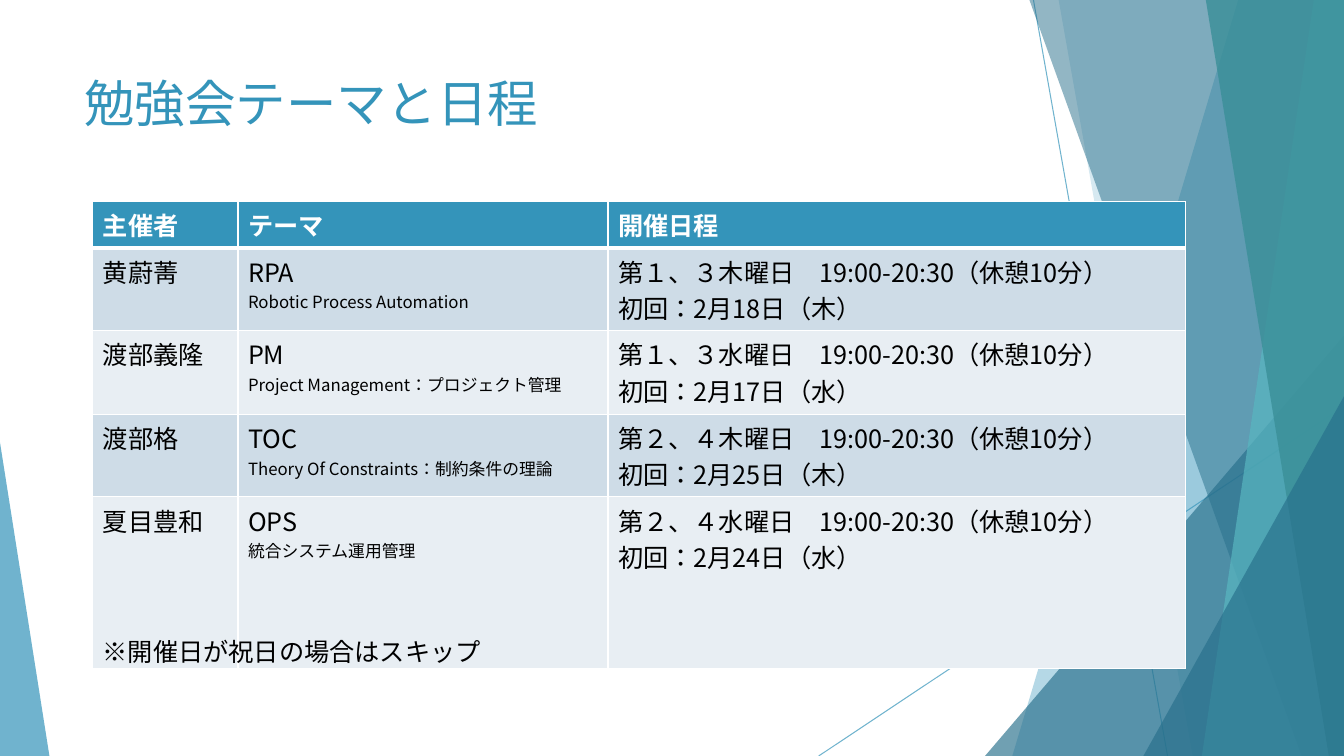
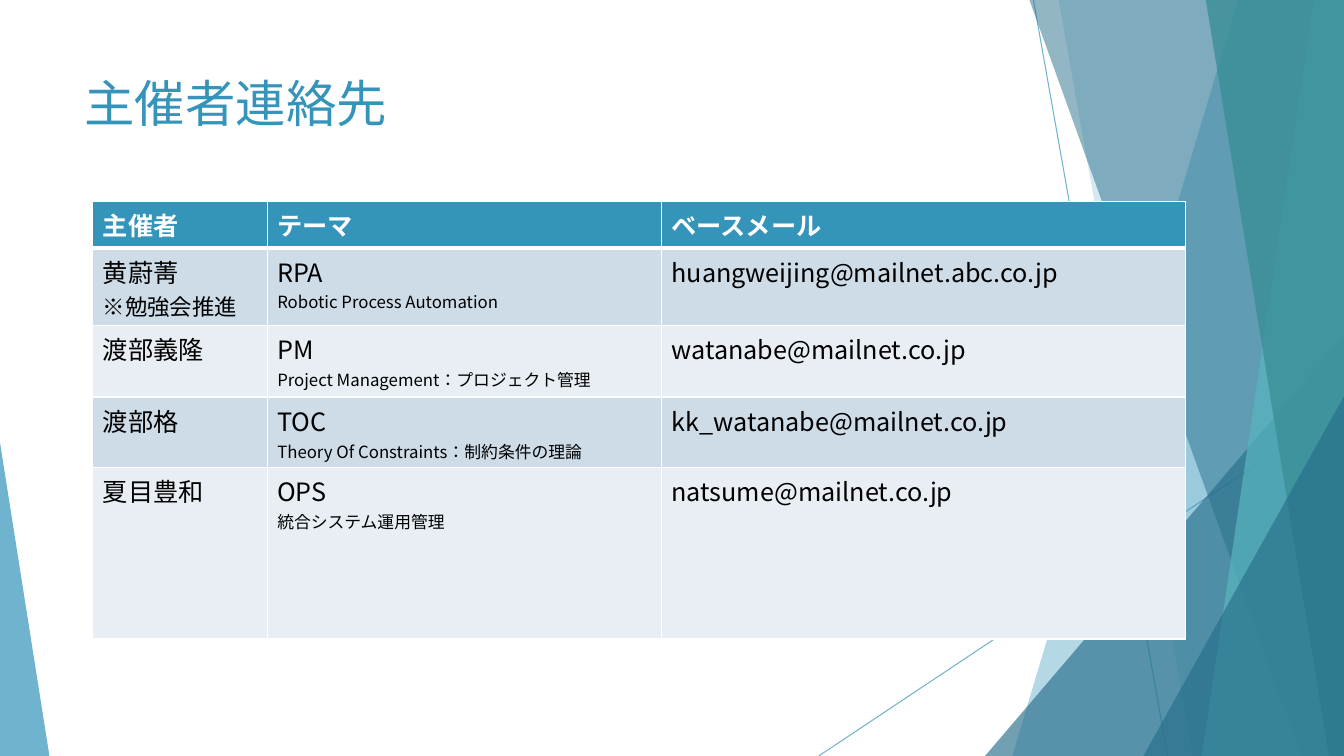
import dataclasses

import pptx
import pptx.dml.color
import pptx.enum.lang
import pptx.enum.shapes
import pptx.enum.text
import pptx.oxml
import pptx.oxml.ns
import pptx.util

Inches = pptx.util.Inches
Pt = pptx.util.Pt


@dataclasses.dataclass(frozen=True)
class Theme:
    """Colours, fonts and type sizes shared by the slides."""

    width: float = 13.33
    height: float = 7.5
    accent: str = "3494BA"
    deep: str = "276F8B"
    aqua: str = "58B6C0"
    teal: str = "3A8F98"
    white: str = "FFFFFF"
    ink: str = "000000"
    bands: tuple = ("CEDCE7", "E8EEF3")
    title_font: str = "Cabin"
    font: str = "Noto Sans CJK JP"
    title_size: int = 36
    body_size: int = 18
    remark_size: int = 16
    detail_size: int = 12


THEME = Theme()
TABLE_LEFT = 0.92
TABLE_TOP = 2
HEADING_HEIGHT = 0.46
LAST_HEIGHT = 1.7
SECOND_SIZES = (THEME.remark_size, THEME.detail_size, THEME.body_size)

RAYS = (((10.25, 0), (11.58, 7.5)), ((13.33, 4.03), (8.12, 7.5)))
FACETS = (
    ("shard", 12.28, 10.04, THEME.accent, 36),
    ("shard", 10.5, 11.83, THEME.accent, 20),
    ("corner", 9.77, 3.33, THEME.deep, 66),
    ("shard", 10.21, 12.91, THEME.deep, 50),
    ("shard", 13.03, 11.92, THEME.aqua, 70),
    ("shard", 11.96, 13.18, THEME.teal, 80),
    ("corner", 11.34, 3.93, THEME.deep, 66),
)

ORGANIZERS = ("黄蔚菁", "渡部義隆", "渡部格", "夏目豊和")
TOPICS = (
    ("RPA", "Robotic Process Automation"),
    ("PM", "Project Management：プロジェクト管理"),
    ("TOC", "Theory Of Constraints：制約条件の理論"),
    ("OPS", "統合システム運用管理"),
)
SESSIONS = (
    ("第１、３木曜日", "2月18日（木）"),
    ("第１、３水曜日", "2月17日（水）"),
    ("第２、４木曜日", "2月25日（木）"),
    ("第２、４水曜日", "2月24日（水）"),
)
ADDRESSES = (
    "huangweijing@mailnet.abc.co.jp",
    "watanabe@mailnet.co.jp",
    "kk_watanabe@mailnet.co.jp",
    "natsume@mailnet.co.jp",
)


def rgb(value):
    """Turn a hex string into a colour."""
    return pptx.dml.color.RGBColor.from_string(value)


def set_alpha(shape, percent):
    """Make the explicit colours of a shape translucent."""
    for colour in shape._element.xpath(".//a:srgbClr"):
        alpha = pptx.oxml.parse_xml(
            f'<a:alpha {pptx.oxml.ns.nsdecls("a")} val="{percent * 1000}"/>')
        colour.append(alpha)


def paint(shape, colour, percent):
    """Give a shape a translucent fill without outline or shadow."""
    shape.shadow.inherit = False
    shape.fill.solid()
    shape.fill.fore_color.rgb = rgb(colour)
    shape.line.fill.background()
    set_alpha(shape, percent)


def add_ray(page, start, end):
    """Draw a thin translucent line."""
    ray = page.shapes.add_connector(
        pptx.enum.shapes.MSO_CONNECTOR.STRAIGHT,
        *(Inches(value) for value in start + end))
    ray.line.color.rgb = rgb(THEME.accent)
    ray.line.width = Pt(0.75)
    ray._element.spPr.append(
        pptx.oxml.parse_xml(f'<a:effectLst {pptx.oxml.ns.nsdecls("a")}/>'))
    set_alpha(ray, 70)


def add_shard(page, top_x, bottom_x, colour, percent):
    """Draw a full-height facet that reaches the right edge."""
    builder = page.shapes.build_freeform(Inches(top_x), 0)
    outline = ((THEME.width, 0), (THEME.width, THEME.height),
               (bottom_x, THEME.height))
    builder.add_line_segments(
        [(Inches(x), Inches(y)) for x, y in outline], close=True)
    paint(builder.convert_to_shape(), colour, percent)


def add_corner(page, left, top, colour, percent, right=THEME.width, peak=1):
    """Draw a right triangle standing on the bottom edge."""
    corner = page.shapes.add_shape(
        pptx.enum.shapes.MSO_SHAPE.ISOSCELES_TRIANGLE, Inches(left),
        Inches(top), Inches(right - left), Inches(THEME.height - top))
    corner.adjustments[0] = peak
    paint(corner, colour, percent)


def add_backdrop(page):
    """Draw the faceted decoration of every slide."""
    for start, end in RAYS:
        add_ray(page, start, end)
    draw = {"shard": add_shard, "corner": add_corner}
    for kind, *details in FACETS:
        draw[kind](page, *details)
    add_corner(page, 0, 4.39, THEME.accent, 70, right=0.49, peak=0)


def style_para(para, size, colour, bold=False, font=THEME.font):
    """Format the runs of a paragraph as Japanese text."""
    for span in para.runs:
        span.font.size = Pt(size)
        span.font.bold = bold
        span.font.name = font
        span.font.language_id = pptx.enum.lang.MSO_LANGUAGE_ID.JAPANESE
        span.font.color.rgb = rgb(colour)
        span._r.get_or_add_rPr().find(
            pptx.oxml.ns.qn("a:latin")).addnext(pptx.oxml.parse_xml(
                f'<a:ea {pptx.oxml.ns.nsdecls("a")} typeface="{THEME.font}"/>'))


def add_text(page, text, area, size, colour, font=THEME.font, wrap=True):
    """Place a one-paragraph text box."""
    box = page.shapes.add_textbox(*(Inches(value) for value in area))
    frame = box.text_frame
    frame.word_wrap = wrap
    frame.vertical_anchor = pptx.enum.text.MSO_ANCHOR.TOP
    frame.text = text
    style_para(frame.paragraphs[0], size, colour, font=font)


def set_borders(cell, top, bottom):
    """Rule a cell in white with the given top and bottom widths."""
    properties = cell._tc.get_or_add_tcPr()
    for side, width in (("L", 1), ("R", 1), ("T", top), ("B", bottom)):
        properties.append(pptx.oxml.parse_xml(
            f'<a:ln{side} {pptx.oxml.ns.nsdecls("a")} w="{Pt(width)}">'
            f'<a:solidFill><a:srgbClr val="{THEME.white}"/></a:solidFill>'
            f'</a:ln{side}>'))


def fill_cell(cell, lines, row_index, second_size):
    """Write a cell and format it as heading or banded body."""
    heading = row_index == 0
    set_borders(cell, 3 if row_index == 1 else 1, 3 if heading else 1)
    cell.fill.solid()
    cell.fill.fore_color.rgb = rgb(
        THEME.accent if heading else THEME.bands[(row_index - 1) % 2])
    cell.text_frame.text = "\n".join(lines)
    for index, para in enumerate(cell.text_frame.paragraphs):
        style_para(para, second_size if index else THEME.body_size,
                   THEME.white if heading else THEME.ink, heading)


def add_grid(page, widths, body_heights, headings, rows):
    """Add a table whose cells hold one or two lines."""
    heights = (HEADING_HEIGHT, *body_heights, LAST_HEIGHT)
    grid = page.shapes.add_table(
        len(heights), len(widths), Inches(TABLE_LEFT), Inches(TABLE_TOP),
        Inches(sum(widths)), Inches(sum(heights))).table
    for column, width in zip(grid.columns, widths):
        column.width = Inches(width)
    for row, height in zip(grid.rows, heights):
        row.height = Inches(height)
    content = [[(heading,) for heading in headings], *rows]
    for row_index, row in enumerate(content):
        for column_index, lines in enumerate(row):
            fill_cell(grid.cell(row_index, column_index), lines, row_index,
                      SECOND_SIZES[column_index])


def add_page(deck, title):
    """Start a slide with the backdrop and its title."""
    page = deck.slides.add_slide(deck.slide_layouts[6])
    add_backdrop(page)
    add_text(page, title, (0.74, 0.67, 9.4, 1.44), THEME.title_size,
             THEME.accent, THEME.title_font)
    return page


def add_schedule(deck):
    """Build the slide of themes and dates."""
    page = add_page(deck, "勉強会テーマと日程")
    rows = [
        ((name,), topic, (f"{days}　19:00-20:30（休憩10分）", f"初回：{first}"))
        for name, topic, (days, first) in zip(ORGANIZERS, TOPICS, SESSIONS)]
    add_grid(page, (1.44, 3.67, 5.73), (0.82, 0.83, 0.82),
             ("主催者", "テーマ", "開催日程"), rows)
    add_text(page, "※開催日が祝日の場合はスキップ", (TABLE_LEFT, 6.26, 3.99, 0.4),
             THEME.body_size, THEME.ink, wrap=False)


def add_contacts(deck):
    """Build the slide of organizer addresses."""
    page = add_page(deck, "主催者連絡先")
    remarks = {ORGANIZERS[0]: ("※勉強会推進",)}
    rows = [((name, *remarks.get(name, ())), topic, (address,))
            for name, topic, address in zip(ORGANIZERS, TOPICS, ADDRESSES)]
    add_grid(page, (1.73, 3.91, 5.2), (0.77, 0.71, 0.7),
             ("主催者", "テーマ", "ベースメール"), rows)


def main():
    """Build and save the deck."""
    deck = pptx.Presentation()
    deck.slide_width = Inches(THEME.width)
    deck.slide_height = Inches(THEME.height)
    add_schedule(deck)
    add_contacts(deck)
    deck.save("out.pptx")


if __name__ == "__main__":
    main()
